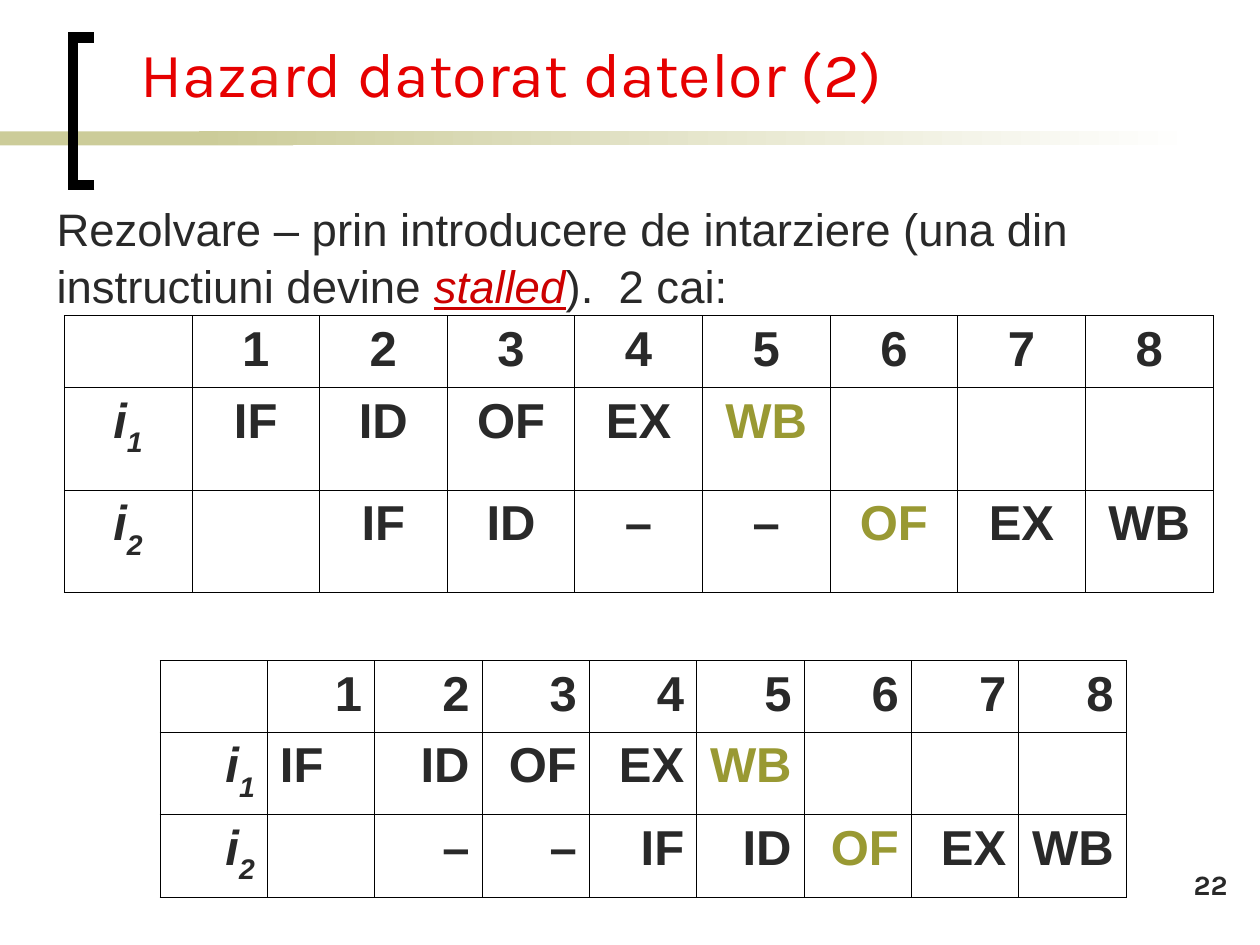
from dataclasses import dataclass

from lxml import etree
from pptx import Presentation
from pptx import util as u
from pptx.dml.color import RGBColor
from pptx.enum import shapes, text
from pptx.oxml import ns

WIDTH, HEIGHT = u.Inches(10), u.Inches(7.5)
ALIGN = text.PP_ALIGN


@dataclass(frozen=True)
class Theme:
    """Colours, fonts and type sizes of the slide."""
    ink: str = "292929"
    title: str = "E60000"
    stress: str = "CC0000"
    hazard: str = "999933"
    band: str = "CCCC99"
    paper: str = "FFFFFF"
    line: str = "000000"
    heading_font: str = "Karla"
    body_font: str = "Arial"
    title_size: float = 36
    body_size: float = 26
    cell_size: float = 28
    number_size: float = 16


@dataclass(frozen=True)
class Box:
    """A region given in shares of the slide's width and height."""
    left: float
    top: float
    width: float
    height: float

    def place(self):
        """Return left, top, width and height as lengths."""
        return (int(self.left * WIDTH), int(self.top * HEIGHT),
                int(self.width * WIDTH), int(self.height * HEIGHT))


THEME = Theme()
CYCLES = [""] + [str(cycle) for cycle in range(1, 9)]
FIRST = ["i_1", "IF", "ID", "OF", "EX", "WB", "", "", ""]
STALL_BEFORE_OPERANDS = ["i_2", "", "IF", "ID", "–", "–", "OF", "EX", "WB"]
STALL_BEFORE_FETCH = ["i_2", "", "–", "–", "IF", "ID", "OF", "EX", "WB"]
HAZARD_CELLS = {(1, 5), (2, 6)}


def add_span(para, words, size, color=THEME.ink, face=THEME.body_font,
             bold=False, italic=False, underline=False):
    """Append one formatted run to a paragraph."""
    span = para.add_run()
    span.text = words
    font = span.font
    font.name, font.size = face, u.Pt(size)
    font.bold, font.italic, font.underline = bold, italic, underline
    font.color.rgb = RGBColor.from_string(color)
    return span


def add_text_box(page, box, align=ALIGN.LEFT, anchor=text.MSO_ANCHOR.TOP):
    """Add a wrapping text box and return its first paragraph."""
    frame = page.shapes.add_textbox(*box.place()).text_frame
    frame.word_wrap = True
    frame.vertical_anchor = anchor
    para = frame.paragraphs[0]
    para.alignment = align
    return para


def add_band(page, box, solid_share, fade_start):
    """Draw the band: a solid start and a part that fades into the page."""
    solid = Box(box.left, box.top, box.width * solid_share, box.height)
    fade = Box(box.left + box.width * fade_start, box.top,
               box.width * (1 - fade_start), box.height)
    bars = [page.shapes.add_shape(shapes.MSO_SHAPE.RECTANGLE, *part.place())
            for part in (solid, fade)]
    for bar in bars:
        bar.shadow.inherit = False
        bar.line.fill.background()
    bars[0].fill.solid()
    bars[0].fill.fore_color.rgb = RGBColor.from_string(THEME.band)
    bars[1].fill.gradient()
    bars[1].fill.gradient_angle = 0
    for stop, color in zip(bars[1].fill.gradient_stops, (THEME.band, THEME.paper)):
        stop.color.rgb = RGBColor.from_string(color)


def add_bracket(page, box):
    """Draw the square bracket open to the right."""
    left, top, width, height = box.place()
    right, bottom = left + width, top + height
    outline = page.shapes.build_freeform(right, bottom)
    outline.add_line_segments([(left, bottom), (left, top), (right, top)], close=False)
    bracket = outline.convert_to_shape()
    bracket.shadow.inherit = False
    bracket.fill.background()
    bracket.line.width = u.Pt(6)
    bracket.line.color.rgb = RGBColor.from_string(THEME.line)
    etree.SubElement(bracket.line._get_or_add_ln(), ns.qn("a:miter"), lim="800000")


def add_title(page, box):
    """Write the slide title."""
    para = add_text_box(page, box, anchor=text.MSO_ANCHOR.BOTTOM)
    add_span(para, "Hazard datorat datelor (2)", THEME.title_size,
             THEME.title, THEME.heading_font)


def add_statement(page, box):
    """Write the sentence that introduces the two solutions."""
    para = add_text_box(page, box)
    para.line_spacing = 1.05
    add_span(para, "Rezolvare – prin introducere de intarziere "
                   "(una din instructiuni devine ", THEME.body_size)
    add_span(para, "stalled", THEME.body_size, THEME.stress, italic=True, underline=True)
    add_span(para, ").  2 cai:", THEME.body_size)


def add_borders(cell):
    """Give a cell thin lines on its four sides."""
    properties = cell._tc.get_or_add_tcPr()
    for index, side in enumerate(("lnL", "lnR", "lnT", "lnB")):
        line = etree.Element(ns.qn(f"a:{side}"), w=str(u.Pt(0.45)))
        fill = etree.SubElement(line, ns.qn("a:solidFill"))
        etree.SubElement(fill, ns.qn("a:srgbClr"), val=THEME.line)
        properties.insert(index, line)


def fill_cell(cell, words, align, color):
    """Write a stage, or a name with its subscript, into a cell."""
    cell.fill.background()
    add_borders(cell)
    if not words:
        return
    para = cell.text_frame.paragraphs[0]
    para.alignment = align
    name, mark, index = words.partition("_")
    add_span(para, name, THEME.cell_size, color, bold=True, italic=bool(mark))
    if index:
        span = add_span(para, index, THEME.cell_size, color, bold=True, italic=True)
        span.font._element.set("baseline", "-30000")


def add_pipeline(page, box, second, row_shares, align, exceptions):
    """Draw the stages of both instructions over the clock cycles."""
    rows = [CYCLES, FIRST, second]
    left, top, width, height = box.place()
    table = page.shapes.add_table(len(rows), len(CYCLES), left, top, width, height).table
    table.first_row = table.horz_banding = False
    for column in table.columns:
        column.width = width // len(CYCLES)
    for row, share in zip(table.rows, row_shares):
        row.height = int(height * share)
    for r, stages in enumerate(rows):
        for c, stage in enumerate(stages):
            color = THEME.hazard if (r, c) in HAZARD_CELLS else THEME.ink
            fill_cell(table.cell(r, c), stage, exceptions.get((r, c), align), color)


def add_number(page, box):
    """Write the slide number."""
    para = add_text_box(page, box, ALIGN.RIGHT)
    add_span(para, "22", THEME.number_size, face=THEME.heading_font, bold=True)


def main():
    """Build the slide and save the deck."""
    deck = Presentation()
    deck.slide_width, deck.slide_height = WIDTH, HEIGHT
    page = deck.slides.add_slide(deck.slide_layouts[6])
    add_band(page, Box(0, 0.139, 0.95, 0.015), 0.245, 0.166)
    add_bracket(page, Box(0.058, 0.04, 0.017, 0.156))
    add_title(page, Box(0.102, 0.035, 0.783, 0.088))
    add_pipeline(page, Box(0.051, 0.334, 0.912, 0.293), STALL_BEFORE_OPERANDS,
                 (0.26, 0.37, 0.37), ALIGN.CENTER, {})
    add_statement(page, Box(0.035, 0.203, 0.921, 0.129))
    add_pipeline(page, Box(0.127, 0.699, 0.767, 0.25), STALL_BEFORE_FETCH,
                 (0.3, 0.35, 0.35), ALIGN.RIGHT, {(1, 1): ALIGN.JUSTIFY})
    add_number(page, Box(0.776, 0.911, 0.208, 0.067))
    deck.save("out.pptx")


if __name__ == "__main__":
    main()
